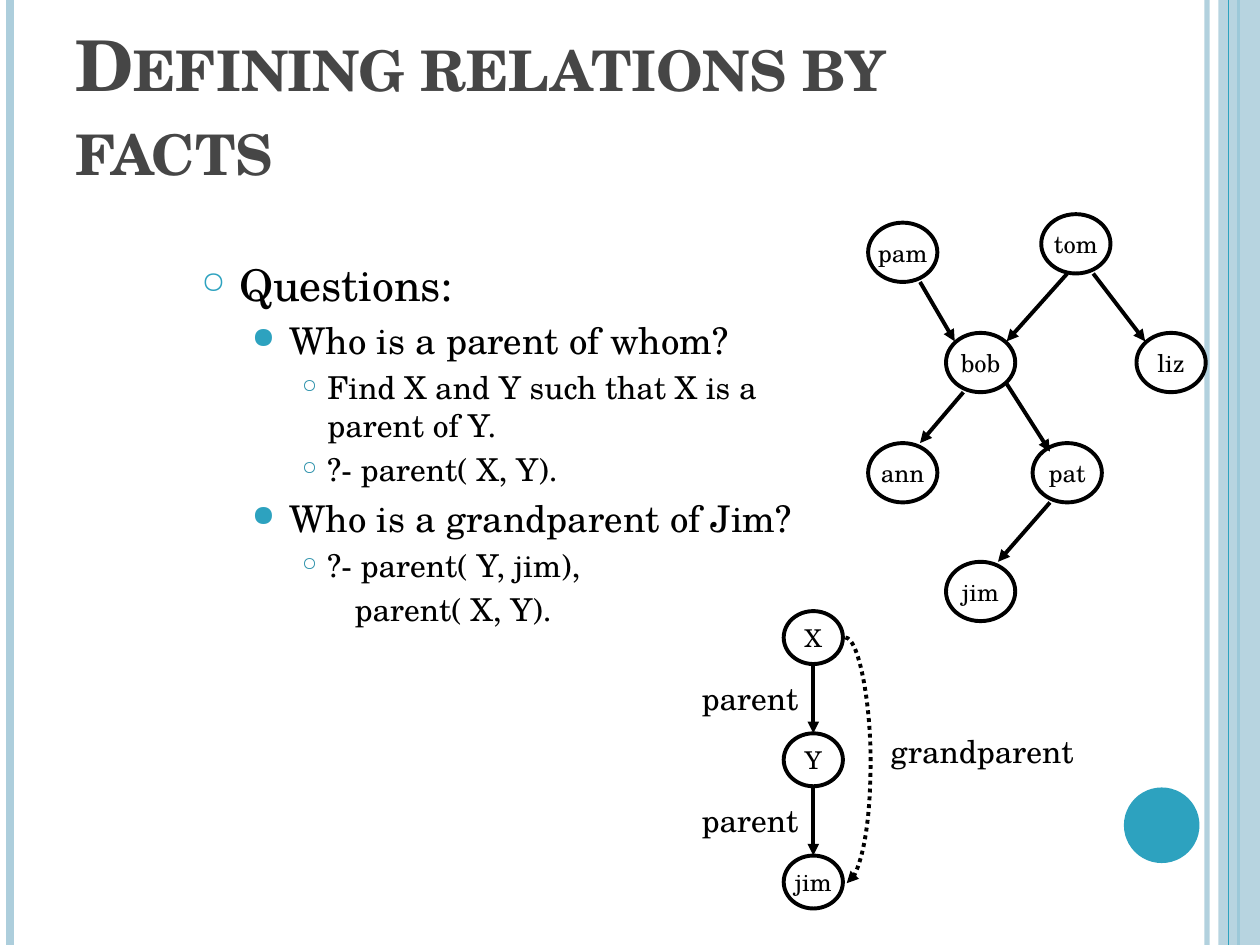
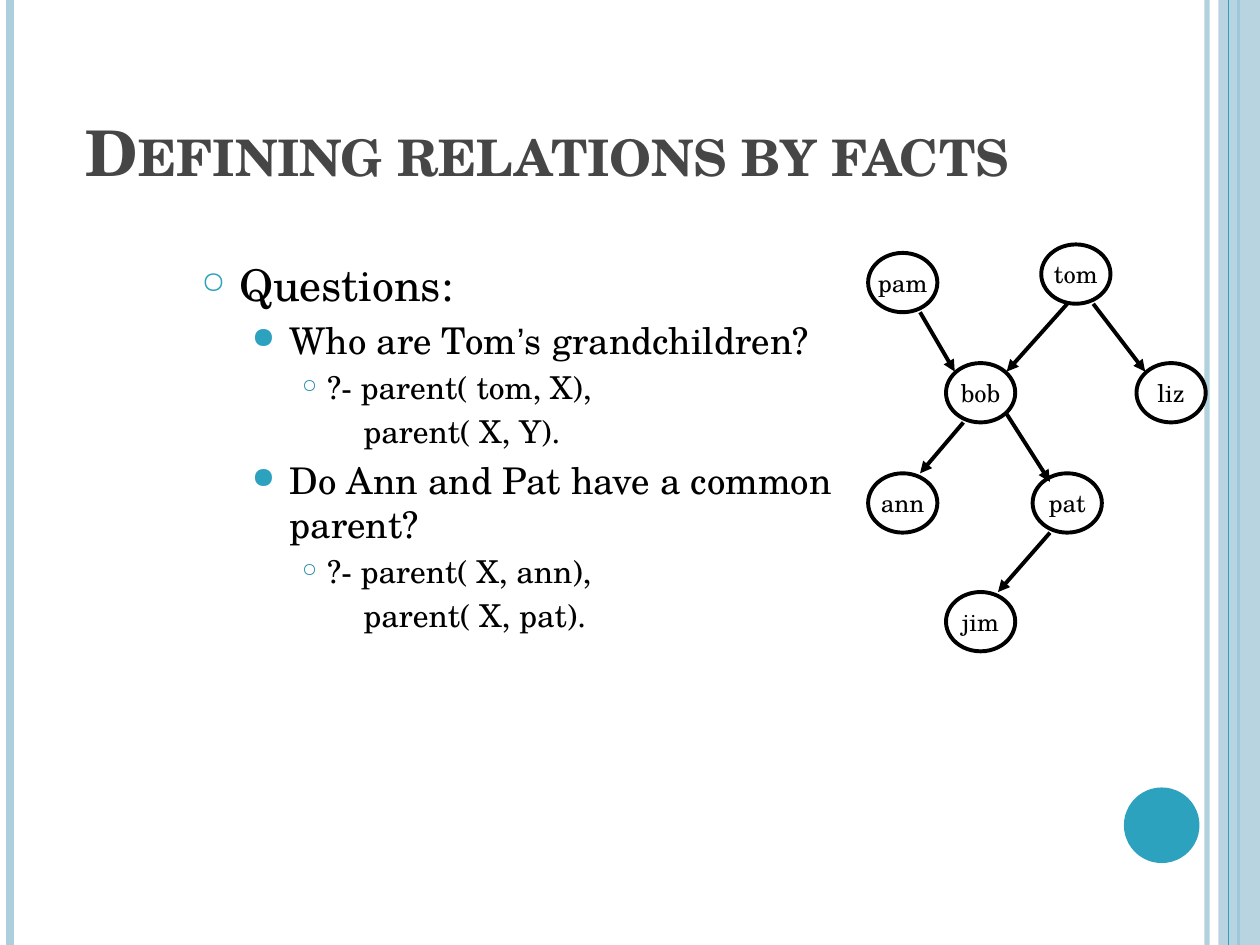
"""Build two slides on family relations stated as facts."""
from dataclasses import dataclass
from itertools import groupby
from typing import NamedTuple

from lxml import etree
from pptx import Presentation
from pptx import util as u
from pptx.dml.color import RGBColor
from pptx.enum import dml, shapes, text
from pptx.oxml.ns import qn

COLORS = {"ink": "000000", "paper": "FFFFFF", "title": "464646",
          "teal": "2DA2BF", "deep": "288FA9", "pale": "ADCEDC"}
FONT, QUOTE_FONT = "TeX Gyre Schola", "Arial"
TITLE = "Defining relations by facts"


@dataclass(frozen=True)
class Grid:
    left: float
    top: float
    width: float
    height: float
    cols: int
    rows: int

    def x(self, col: float) -> int:
        return u.Inches(self.left + col * self.width / self.cols)

    def y(self, row: float) -> int:
        return u.Inches(self.top + row * self.height / self.rows)

    def box(self, col: float, row: float, cols: float, rows: float) -> tuple[int, ...]:
        x, y = self.x(col), self.y(row)
        return x, y, self.x(col + cols) - x, self.y(row + rows) - y


class Node(NamedTuple):
    label: str
    col: float
    row: float


class Line(NamedTuple):
    x1: float
    y1: float
    x2: float
    y2: float
    color: str = "ink"
    width: float = 2.25
    arrow: bool = True


class Level(NamedTuple):
    size: int
    margin: float
    hang: float
    bullet: str
    color: str
    scale: int


class Item(NamedTuple):
    level: int
    text: str
    bullet: bool = True


class Page(NamedTuple):
    title_size: int
    title_inset: float
    body_cols: float
    tree_top: float
    items: list[Item]


PAGE = Grid(0, 0, 10, 7.5, 100, 75)
LEVELS = [Level(25, 0.3, 0.3, "○", "teal", 70),
          Level(21, 0.7, 0.3, "●", "teal", 80),
          Level(18, 1.0, 0.2, "○", "deep", 60)]
FAMILY = [Node("pam", 0, 1), Node("liz", 31, 14), Node("bob", 9, 14),
          Node("jim", 9, 41), Node("pat", 19, 27), Node("ann", 0, 27),
          Node("tom", 20, 0)]
PARENT_ARROWS = [Line(6, 8, 10, 15), Line(23, 7, 16, 15), Line(26, 7, 32, 15),
                 Line(11, 21, 6, 27), Line(16, 20, 21, 28), Line(21, 34, 15, 41)]
CHAIN = ["X", "Y", "jim"]
CHAIN_LEFT, CHAIN_TOP, CHAIN_STEP = 62.2, 48.5, 9.7
CHAIN_WIDTH, CHAIN_HEIGHT = 4.7, 4.2
PAGES = [
    Page(40, 0.1, 52.3, 1.7, [
        Item(0, "Questions:"),
        Item(1, "Who is a parent of whom?"),
        Item(2, "Find X and Y such that X is a parent of Y."),
        Item(2, "?- parent( X, Y)."),
        Item(1, "Who is a grandparent of Jim?"),
        Item(2, "?- parent( Y, jim),"),
        Item(2, "      parent( X, Y).", False)]),
    Page(36, 0.18, 57.1, 1.94, [
        Item(0, "Questions:"),
        Item(1, "Who are Tom’s grandchildren?"),
        Item(2, "?- parent( tom, X),"),
        Item(2, "       parent( X, Y).", False),
        Item(1, "Do Ann and Pat have a common parent?"),
        Item(2, "?- parent( X, ann),"),
        Item(2, "       parent( X, pat).", False)]),
]


def rgb(name: str) -> RGBColor:
    return RGBColor.from_string(COLORS[name])


def add_xml(parent, tag: str, **attrs: str):
    return etree.SubElement(parent, qn(tag), attrs)


def fade(shape, percent: int) -> None:
    for color in shape._element.spPr.iter(qn("a:srgbClr")):
        add_xml(color, "a:alpha", val=str(percent * 1000))


def style(r, size: float, color: str = "ink", name: str = FONT) -> None:
    r.font.size, r.font.name = u.Pt(size), name
    r.font.color.rgb = rgb(color)


def add_line(s, grid: Grid, line: Line, kind=shapes.MSO_CONNECTOR.STRAIGHT):
    sp = s.shapes.add_connector(kind, grid.x(line.x1), grid.y(line.y1),
                                grid.x(line.x2), grid.y(line.y2))
    sp.line.color.rgb, sp.line.width = rgb(line.color), u.Pt(line.width)
    if line.arrow:
        add_xml(sp.line._get_or_add_ln(), "a:tailEnd", type="triangle")
    add_xml(sp._element.spPr, "a:effectLst")
    return sp


def add_solid(s, kind, box: tuple[int, ...], color: str):
    sp = s.shapes.add_shape(kind, *box)
    sp.shadow.inherit = False
    sp.fill.solid()
    sp.fill.fore_color.rgb = rgb(color)
    sp.line.fill.background()
    return sp


def add_node(s, label: str, box: tuple[int, ...]) -> None:
    sp = add_solid(s, shapes.MSO_SHAPE.OVAL, box, "paper")
    sp.line.color.rgb, sp.line.width = rgb("ink"), u.Pt(2.25)
    tf = sp.text_frame
    tf.text, tf.word_wrap = label, False
    tf.vertical_anchor = text.MSO_ANCHOR.MIDDLE
    tf.paragraphs[0].alignment = text.PP_ALIGN.CENTER
    style(tf.paragraphs[0].runs[0], 14)


def add_label(s, label: str, box: tuple[int, ...]) -> None:
    tf = s.shapes.add_textbox(*box).text_frame
    tf.text, tf.word_wrap = label, False
    tf.auto_size = text.MSO_AUTO_SIZE.SHAPE_TO_FIT_TEXT
    style(tf.paragraphs[0].runs[0], 18)


def add_frame(s) -> None:
    def rule(col: float, color: str, width: float):
        return add_line(s, PAGE, Line(col, 0, col, PAGE.rows, color, width, False))

    fade(rule(95.8, "pale", 3), 93)
    rule(0.8, "pale", 4.5)
    rule(98.3, "teal", 1.5)
    fade(add_solid(s, shapes.MSO_SHAPE.RECTANGLE,
                   PAGE.box(96.7, 0, 3.3, PAGE.rows), "pale"), 87)
    rule(97.5, "teal", 0.75)
    add_solid(s, shapes.MSO_SHAPE.OVAL, PAGE.box(89.2, 62.5, 6, 6), "teal")


def add_title(s, page: Page) -> None:
    tf = s.shapes.add_textbox(*PAGE.box(5, 3, 81.7, 12.5)).text_frame
    tf.text, tf.word_wrap = TITLE, True
    tf.vertical_anchor = text.MSO_ANCHOR.BOTTOM
    tf.margin_left = u.Inches(page.title_inset)
    r = tf.paragraphs[0].runs[0]
    style(r, page.title_size, "title")
    r.font.bold = True
    r._r.get_or_add_rPr().set("cap", "small")


def add_item(p, item: Item, first: bool) -> None:
    level = LEVELS[item.level]
    p.level = item.level
    p.space_before = u.Pt(0 if first else level.size * 0.2)
    pPr = p._p.get_or_add_pPr()
    pPr.set("marL", str(u.Inches(level.margin)))
    pPr.set("indent", str(-u.Inches(level.hang)))
    if item.bullet:
        add_xml(add_xml(pPr, "a:buClr"), "a:srgbClr", val=COLORS[level.color])
        add_xml(pPr, "a:buSzPct", val=str(level.scale * 1000))
        add_xml(pPr, "a:buChar", char=level.bullet)
    else:
        add_xml(pPr, "a:buNone")
    for is_quote, chars in groupby(item.text, lambda char: char == "’"):
        r = p.add_run()
        r.text = "".join(chars)
        style(r, level.size, name=QUOTE_FONT if is_quote else FONT)


def add_body(s, page: Page) -> None:
    tf = s.shapes.add_textbox(*PAGE.box(15, 20, page.body_cols, 45)).text_frame
    tf.word_wrap = True
    for i, item in enumerate(page.items):
        p = tf.add_paragraph() if i else tf.paragraphs[0]
        add_item(p, item, i == 0)


def add_family_tree(s, top: float) -> None:
    grid = Grid(6.89, top, 2.68, 3.23, 39, 48)
    for node in FAMILY:
        add_node(s, node.label, grid.box(node.col, node.row, 8, 7))
    for arrow in PARENT_ARROWS:
        add_line(s, grid, arrow)


def add_grandparent_chain(s) -> None:
    center = CHAIN_LEFT + CHAIN_WIDTH / 2
    for i, label in enumerate(CHAIN):
        row = CHAIN_TOP + i * CHAIN_STEP
        add_node(s, label, PAGE.box(CHAIN_LEFT, row, CHAIN_WIDTH, CHAIN_HEIGHT))
        if i < len(CHAIN) - 1:
            add_line(s, PAGE, Line(center, row + CHAIN_HEIGHT, center, row + CHAIN_STEP))
            add_label(s, "parent", PAGE.box(54.7, row + 4.9, 10.2, 4))
    curve = add_line(s, PAGE, Line(67.1, 50.6, 67.2, 70.1), shapes.MSO_CONNECTOR.CURVE)
    curve.line.dash_style = dml.MSO_LINE.ROUND_DOT
    guides = curve._element.spPr.find(qn("a:prstGeom")).get_or_add_avLst()
    add_xml(guides, "a:gd", name="adj1", fmla="val 2028600")
    add_label(s, "grandparent", PAGE.box(69.7, 57.6, 17.4, 4))


def main() -> None:
    prs = Presentation()
    prs.slide_width, prs.slide_height = PAGE.x(PAGE.cols), PAGE.y(PAGE.rows)
    for page in PAGES:
        s = prs.slides.add_slide(prs.slide_layouts[6])
        add_frame(s)
        add_title(s, page)
        add_body(s, page)
        add_family_tree(s, page.tree_top)
    add_grandparent_chain(prs.slides[0])
    prs.save("out.pptx")


if __name__ == "__main__":
    main()
